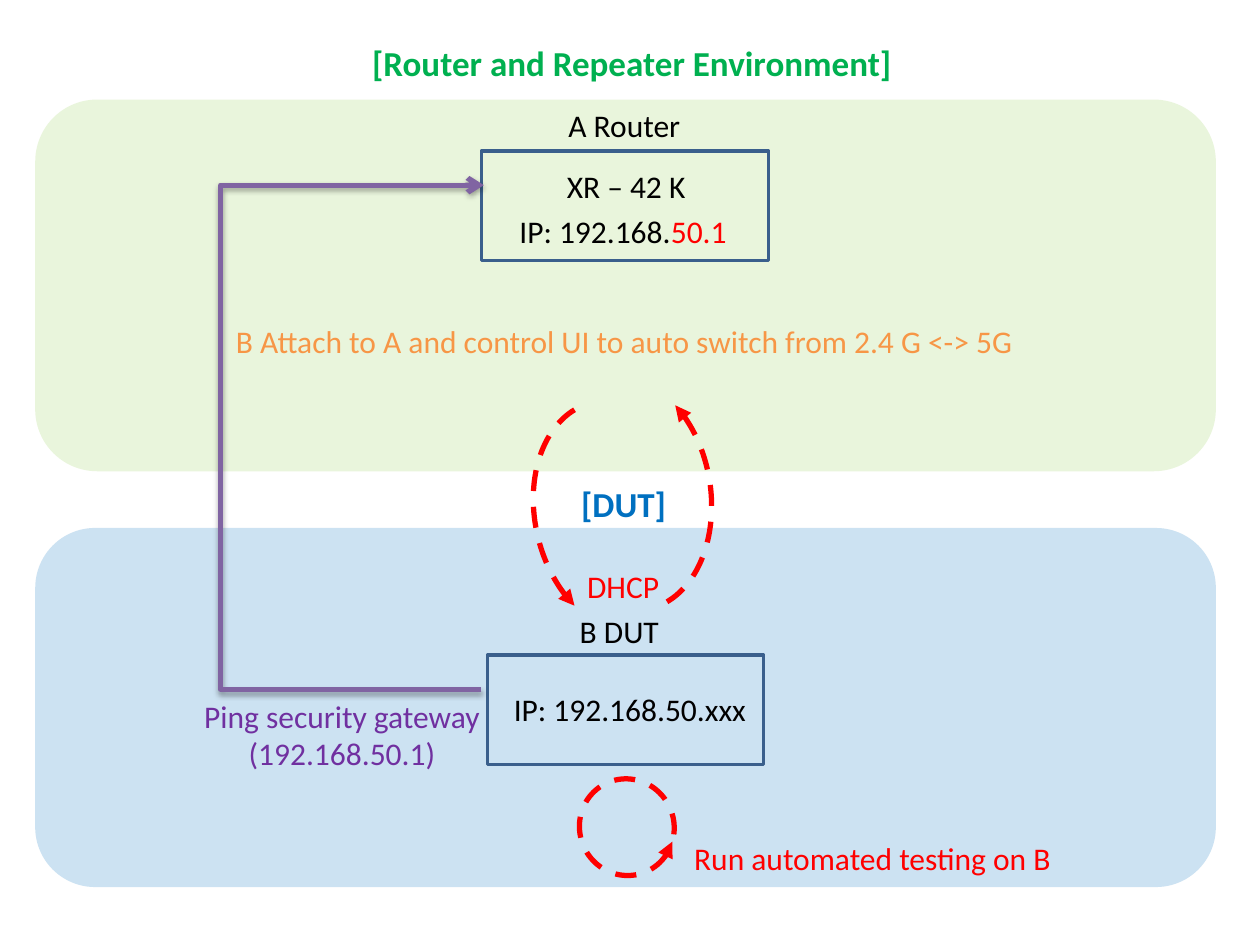
from lxml import etree
from pptx import Presentation
from pptx.dml.color import RGBColor
from pptx.enum import dml, shapes, text
from pptx.oxml.ns import qn
from pptx.util import Inches, Pt

BLACK, RED, BLUE, PURPLE = "000000", "FF0000", "0070C0", "7030A0"
KIND = shapes.MSO_SHAPE


def paint(fmt, hue):
    """Give a fill or a font colour a solid hex colour."""
    if hasattr(fmt, "solid"):
        fmt.solid()
        fmt = fmt.fore_color
    fmt.rgb = RGBColor.from_string(hue)


def add_tag(node, tag, **attrs):
    return etree.SubElement(node, qn(tag), attrs)


deck = Presentation()
deck.slide_width, deck.slide_height = Inches(10), Inches(7.5)
slide = deck.slides.add_slide(deck.slide_layouts[5])
items = slide.shapes

# Network zones
for top, high, hue in ((0.79, 2.95, "92D050"), (4.19, 2.85, BLUE)):
    zone = items.add_shape(KIND.ROUNDED_RECTANGLE, Inches(0.28), Inches(top),
                           Inches(9.37), Inches(high))
    zone.shadow.inherit = False
    zone.line.fill.background()
    paint(zone.fill, hue)
    tint = zone._element.spPr.find(".//" + qn("a:srgbClr"))
    add_tag(tint, "a:alpha", val="20000")

# Device frames
for left, top, wide in ((3.82, 1.2, 2.28), (3.87, 5.2, 2.19)):
    frame = items.add_shape(KIND.RECTANGLE, Inches(left), Inches(top),
                            Inches(wide), Inches(0.87))
    frame.shadow.inherit = False
    frame.fill.background()
    paint(frame.line.fill, "3A5F8C")
    frame.line.width = Pt(2)

# Dashed loops: place, turn, start and end of the arc
loops = (
    (4.31, 2.98, 1.33, 1.87, 350.6, 184.97, 50.32),
    (4.25, 3.17, 1.33, 1.87, 166.4, 186.28, 49.85),
    (4.59, 6.19, 0.77, 0.75, 69.1, 185.16, 184.31),
)
for *place, turn, start, end in loops:
    loop = items.add_shape(KIND.ARC, *map(Inches, place))
    loop.shadow.inherit = False
    loop.rotation = turn
    loop.adjustments[0], loop.adjustments[1] = start, end
    loop.fill.background()
    paint(loop.line.fill, RED)
    loop.line.width = Pt(3)
    loop.line.dash_style = dml.MSO_LINE.DASH
    add_tag(loop._element.spPr.find(qn("a:ln")), "a:headEnd", type="triangle")

# Labels: place, size, bold, then lines of (words, colour) runs
title = (2.79, 0.28, 4.45, 0.44)
labels = (
    (title, 20, True, [[("[Router and Repeater Environment]", "00B050")]]),
    ((3.65, 3.78, 2.6, 0.44), 20, True, [[("[DUT]", BLUE)]]),
    ((4.25, 0.79, 1.41, 0.4), 18, False, [[("A Router", BLACK)]]),
    ((3.86, 1.28, 2.22, 0.4), 18, False, [[("XR – 42 K", BLACK)]]),
    ((4.01, 1.63, 1.87, 0.4), 18, False,
     [[("IP: 192.168.", BLACK), ("50.1", RED)]]),
    ((1.59, 2.51, 6.73, 0.4), 18, False,
     [[("B Attach to A and control UI to auto switch from 2.4 G <-> 5G",
        "F79646")]]),
    ((4.55, 4.45, 0.79, 0.4), 18, False, [[("DHCP", RED)]]),
    ((4.21, 4.81, 1.41, 0.4), 18, False, [[("B DUT", BLACK)]]),
    ((3.78, 5.43, 2.44, 0.4), 18, False, [[("IP: 192.168.50.xxx", BLACK)]]),
    ((1.38, 5.48, 2.67, 0.71), 18, False,
     [[("Ping security gateway", PURPLE)], [("(192.168.50.1)", PURPLE)]]),
    ((5.01, 6.61, 3.83, 0.4), 18, False,
     [[("Run automated testing on B", RED)]]),
)
layout = {"word_wrap": True, "vertical_anchor": text.MSO_ANCHOR.TOP,
          "auto_size": text.MSO_AUTO_SIZE.SHAPE_TO_FIT_TEXT}
for place, size, bold, lines in labels:
    spot = [Inches(n) for n in place]
    box = items.title if place is title else items.add_textbox(*spot)
    box.left, box.top, box.width, box.height = spot
    frame = box.text_frame
    for key, value in layout.items():
        setattr(frame, key, value)
    for row, runs in enumerate(lines):
        para = frame.add_paragraph() if row else frame.paragraphs[0]
        para.alignment = text.PP_ALIGN.CENTER
        for words, hue in runs:
            run = para.add_run()
            run.text = words
            font = {"name": "Calibri", "size": Pt(size), "bold": bold}
            for key, value in font.items():
                setattr(run.font, key, value)
            paint(run.font.color, hue)

# Ping route from B back to A, bending out to the left
ax, bx, bend = 3.84, 3.82, 1.76
route = items.add_connector(shapes.MSO_CONNECTOR.ELBOW, Inches(bx), Inches(5.47),
                            Inches(ax), Inches(1.47))
paint(route.line.fill, "8064A2")
route.line.width = Pt(3)
props = route._element.spPr
add_tag(props.find(qn("a:ln")), "a:tailEnd", type="arrow")
ratio = round((bend - bx) / (ax - bx) * 100000)
guides = props.find(qn("a:prstGeom")).find(qn("a:avLst"))
add_tag(guides, "a:gd", name="adj1", fmla=f"val {ratio}")
shade = add_tag(add_tag(props, "a:effectLst"), "a:outerShdw", dir="5400000",
                blurRad=str(Pt(3.1)), dist=str(Pt(1.8)), rotWithShape="0")
add_tag(add_tag(shade, "a:srgbClr", val=BLACK), "a:alpha", val="35000")

deck.save("out.pptx")
